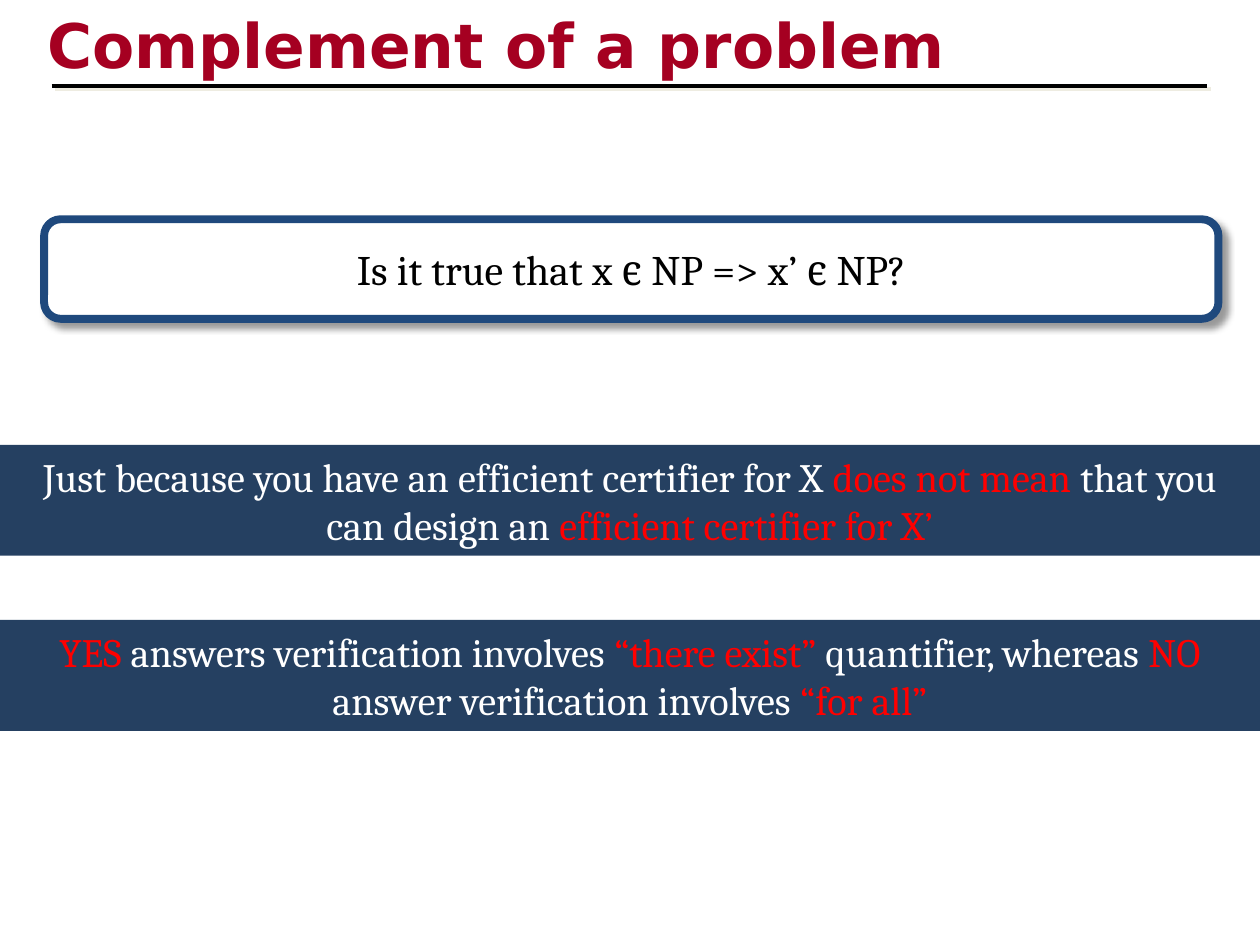
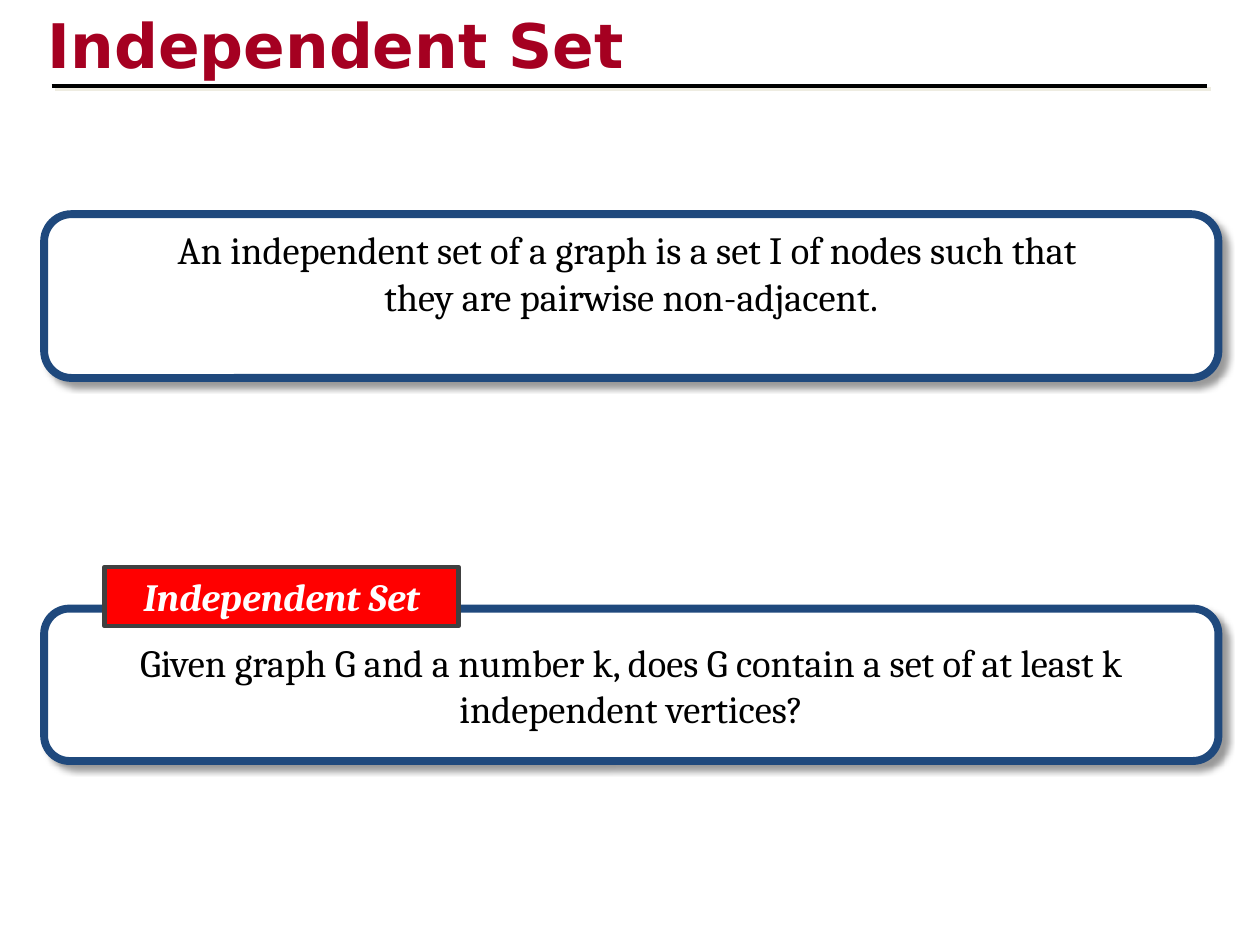
from lxml.etree import SubElement
from pptx import Presentation
from pptx.dml.color import RGBColor
from pptx.enum.shapes import MSO_CONNECTOR as Connector, MSO_SHAPE as Shape
from pptx.enum.text import MSO_ANCHOR as Anchor, MSO_AUTO_SIZE as AutoSize, PP_ALIGN as Align
from pptx.oxml.ns import qn
from pptx.util import Inches, Pt

# Content: each paragraph is a list of (text, colour) runs
BLACK, WHITE, RED = "000000", "FFFFFF", "FF0000"
CRIMSON, NAVY, BLUE, GREY, CREAM = "A50021", "254061", "1F497D", "404040", "EEECE1"
BODY_FONT, TITLE_FONT = "Cambria", "DejaVu Sans"

COMPLEMENT = {
    "title": "Complement of a problem",
    "question": ["Is it true that x є NP => x’ є NP?"],
    "remarks": [
        [("Just because you have an efficient certifier for X ", WHITE),
         ("does not mean ", RED), ("that you can design an ", WHITE),
         ("efficient certifier for X’", RED)],
        [("YES", RED), (" answers verification involves ", WHITE),
         ("“there exist” ", RED), ("quantifier, whereas ", WHITE), ("NO ", RED),
         ("answer verification involves ", WHITE), ("“for all”", RED)],
    ],
}
INDEPENDENT = {
    "title": "Independent Set",
    "definition": ["An independent set of a graph is a set I of nodes such that ",
                   "they are pairwise non-adjacent."],
    "problem": ["Given graph G and a number k, does G contain a set of at least k",
                "independent vertices?"],
    "tag": "Independent Set",
}

# Shared layout, in inches
CARD_LEFT, CARD_WIDTH = 0.35, 9.32
BAND_TOP, BAND_STEP, BAND_HEIGHT = 3.53, 1.39, 0.88


def rgb(colour):
    return RGBColor.from_string(colour)


def style(paragraph, size, colour, font=BODY_FONT, align=Align.CENTER):
    paragraph.alignment = align
    paragraph.font.size = Pt(size)
    paragraph.font.name = font
    paragraph.font.color.rgb = rgb(colour)


def cast_shadow(properties, colour, opacity, blur, distance):
    effects = properties.find(qn("a:effectLst"))
    if effects is None:
        effects = SubElement(properties, qn("a:effectLst"))
    shadow = SubElement(effects, qn("a:outerShdw"), blurRad=str(Pt(blur)),
                        dist=str(Pt(distance)), dir="2700000", algn="tl", rotWithShape="0")
    tint = SubElement(shadow, qn("a:srgbClr"), val=colour)
    SubElement(tint, qn("a:alpha"), val=str(opacity * 1000))


def add_box(slide, kind, place, fill, line=None, weight=0):
    box = slide.shapes.add_shape(kind, *map(Inches, place))
    box.shadow.inherit = False
    box.fill.solid()
    box.fill.fore_color.rgb = rgb(fill)
    if line:
        box.line.color.rgb = rgb(line)
        box.line.width = Pt(weight)
    else:
        box.line.fill.background()
    box.text_frame.vertical_anchor = Anchor.MIDDLE
    return box


def add_card(slide, top, height, lines, size, bottom_inset=0.05):
    card = add_box(slide, Shape.ROUNDED_RECTANGLE, (CARD_LEFT, top, CARD_WIDTH, height),
                   WHITE, BLUE, 4.5)
    cast_shadow(card._element.spPr, BLACK, 40, 4, 4)
    frame = card.text_frame
    frame.word_wrap = False
    frame.margin_bottom = Inches(bottom_inset)
    frame.text = "\n".join(lines)
    for paragraph in frame.paragraphs:
        style(paragraph, size, BLACK)


def add_band(slide, top, runs):
    band = add_box(slide, Shape.RECTANGLE, (0, top, 10, BAND_HEIGHT), NAVY)
    band.text_frame.word_wrap = True
    paragraph = band.text_frame.paragraphs[0]
    style(paragraph, 23, WHITE)
    for text, colour in runs:
        run = paragraph.add_run()
        run.text = text
        run.font.color.rgb = rgb(colour)


def add_tag(slide, text):
    tag = add_box(slide, Shape.RECTANGLE, (0.83, 4.5, 2.81, 0.47), RED, GREY, 2.5)
    tag.text_frame.text = text
    paragraph = tag.text_frame.paragraphs[0]
    style(paragraph, 22, WHITE)
    paragraph.font.bold = paragraph.font.italic = True


def add_titled_slide(deck, text):
    slide = deck.slides.add_slide(deck.slide_layouts[5])
    title = slide.shapes.title
    title.left, title.top, title.width, title.height = map(Inches, (0.28, 0.01, 8.5, 0.67))
    frame = title.text_frame
    frame.auto_size = AutoSize.NONE
    frame.vertical_anchor = Anchor.MIDDLE
    frame.text = text
    heading = frame.paragraphs[0]
    style(heading, 35.1, CRIMSON, TITLE_FONT, Align.LEFT)
    heading.font.bold = True
    cast_shadow(heading.runs[0]._r.get_or_add_rPr(), CREAM, 100, 0, 2.8)

    # Rule under the title
    rule = slide.shapes.add_connector(Connector.STRAIGHT,
                                      *map(Inches, (0.41, 0.68, 9.58, 0.68)))
    rule.line.color.rgb = rgb(BLACK)
    rule.line.width = Pt(2.25)
    cast_shadow(rule._element.spPr, CREAM, 100, 0, 2.8)
    return slide


def main():
    deck = Presentation()
    deck.slide_width, deck.slide_height = Inches(10), Inches(7.5)

    # Complement of a problem
    slide = add_titled_slide(deck, COMPLEMENT["title"])
    add_card(slide, 1.74, 0.79, COMPLEMENT["question"], 24)
    for row, remark in enumerate(COMPLEMENT["remarks"]):
        add_band(slide, BAND_TOP + row * BAND_STEP, remark)

    # Independent set: the tag overlaps the problem card
    slide = add_titled_slide(deck, INDEPENDENT["title"])
    add_card(slide, 4.83, 1.21, INDEPENDENT["problem"], 22)
    add_tag(slide, INDEPENDENT["tag"])
    add_card(slide, 1.7, 1.3, INDEPENDENT["definition"], 22, bottom_inset=0.42)

    deck.save("out.pptx")


if __name__ == "__main__":
    main()
